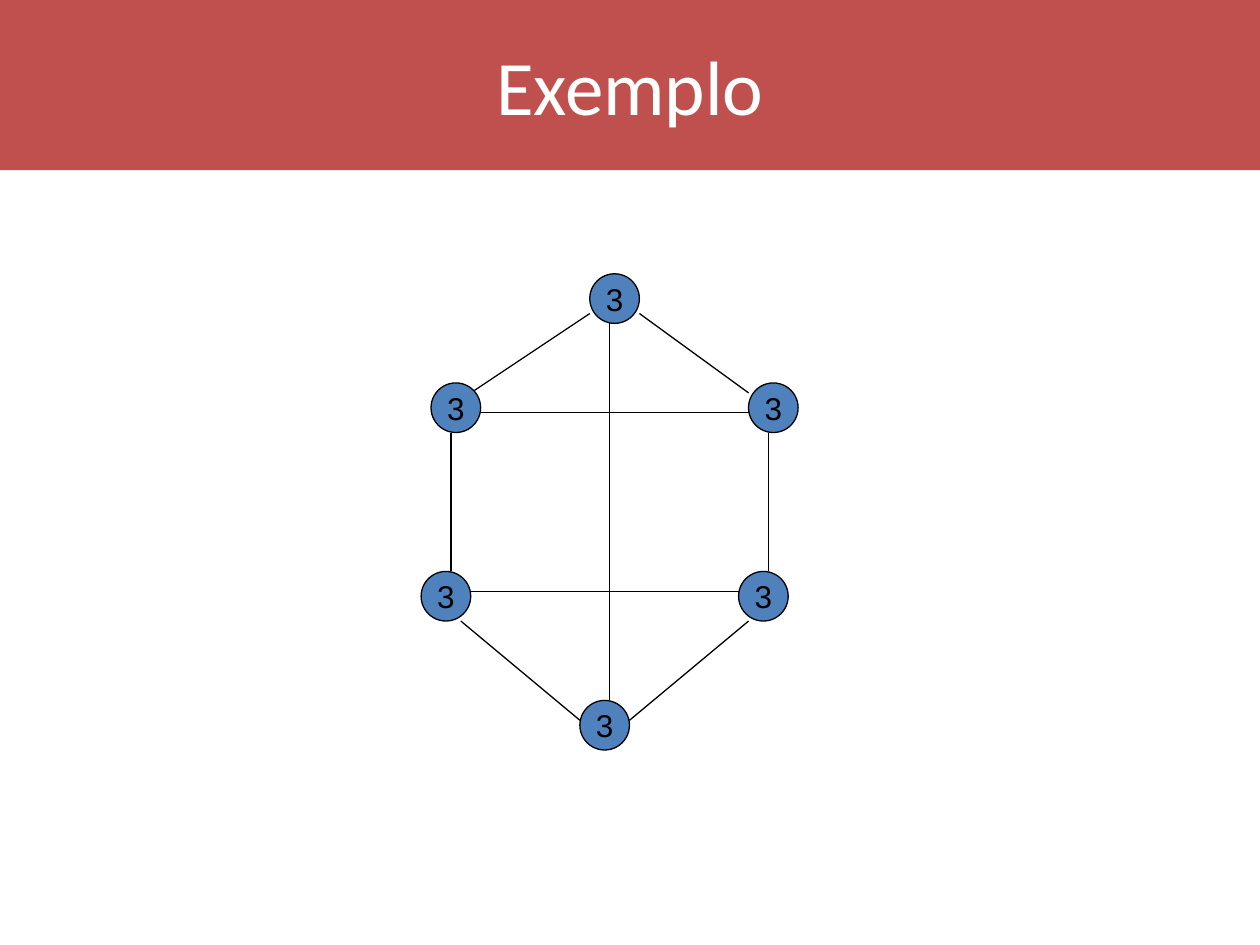
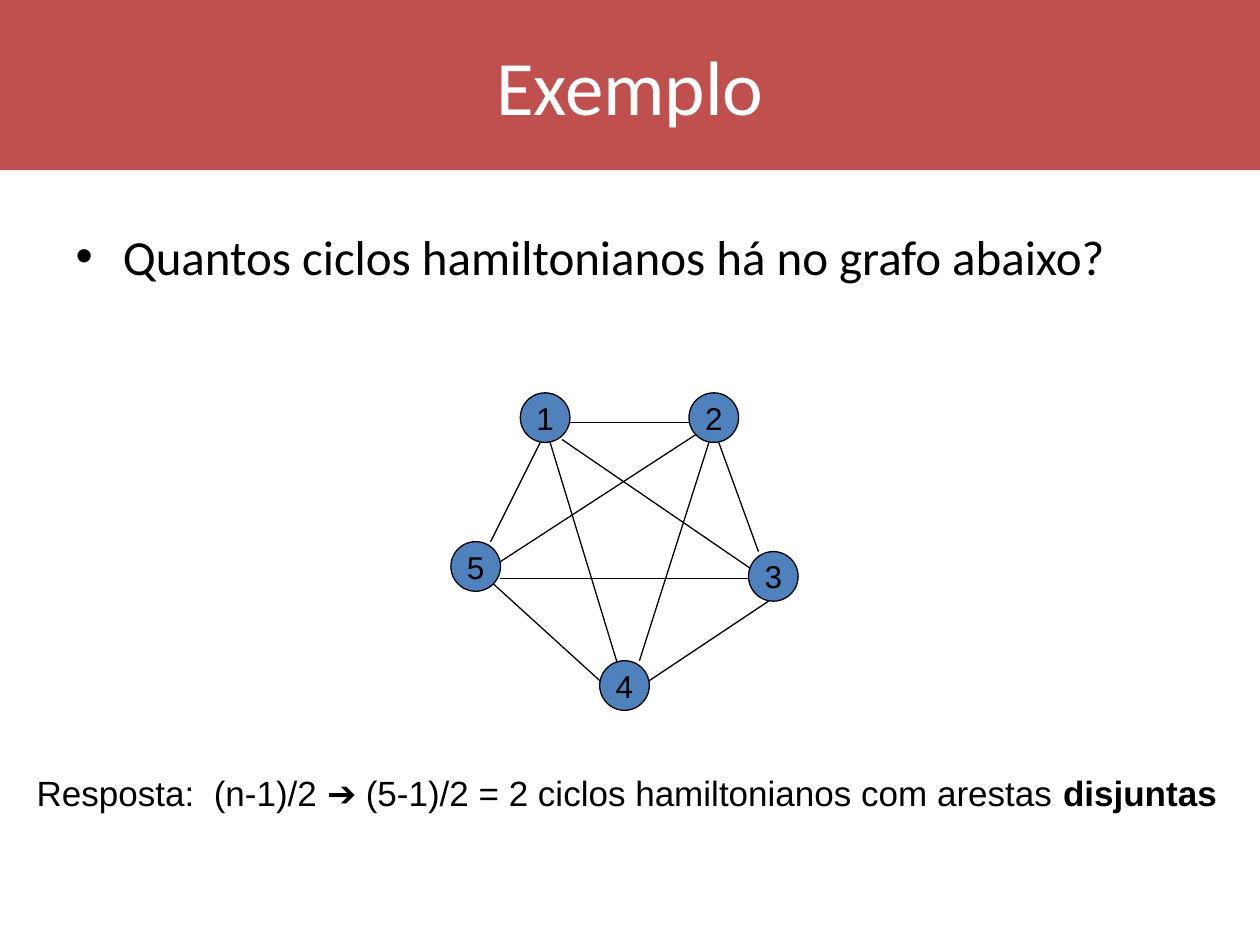
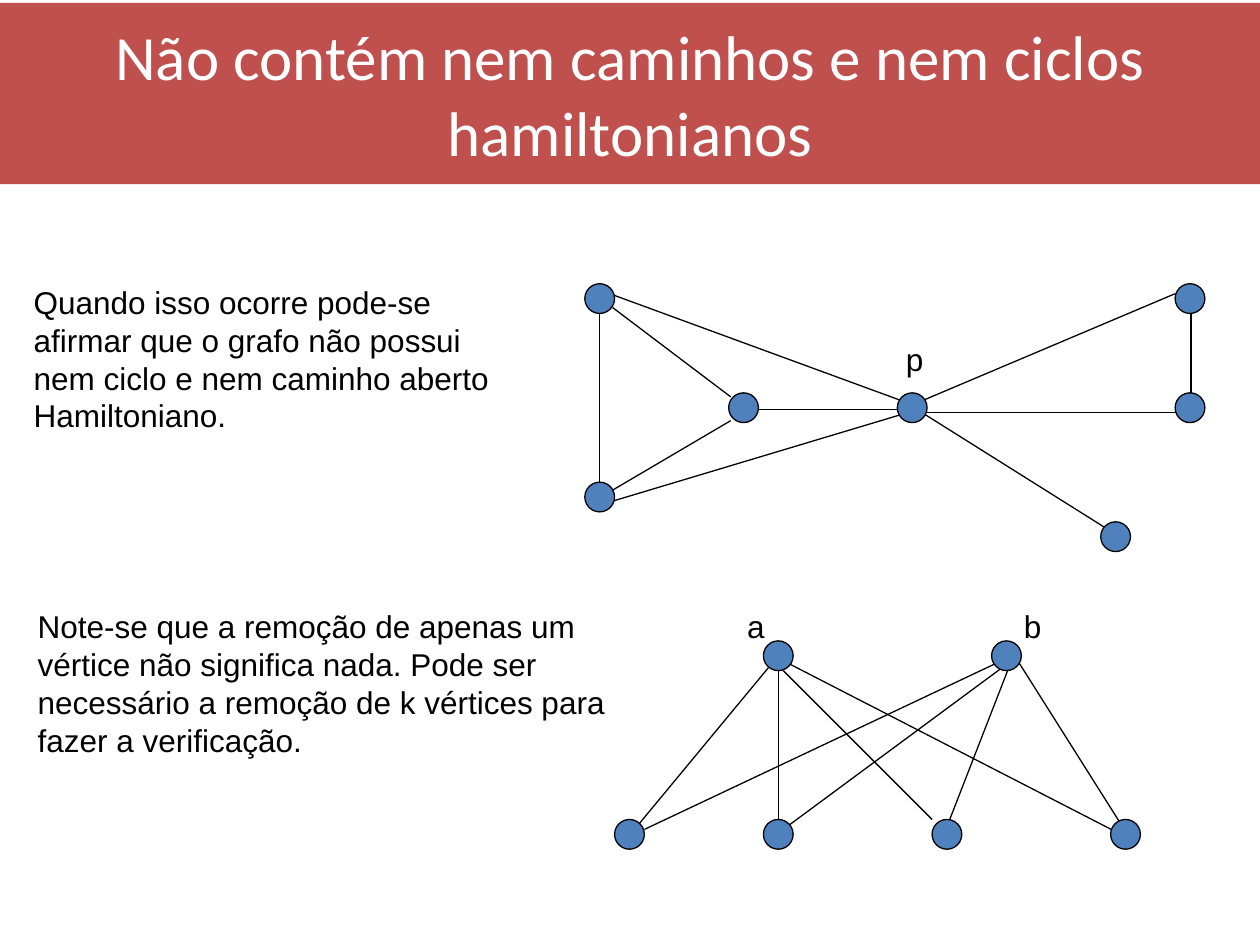
from pptx import Presentation
from pptx.dml.color import RGBColor
from pptx.enum.shapes import MSO_CONNECTOR, MSO_SHAPE
from pptx.enum.text import MSO_ANCHOR, MSO_AUTO_SIZE, PP_ALIGN
from pptx.oxml.ns import qn
from pptx.util import Cm, Inches, Pt
from lxml.etree import SubElement

COLORS = {"band": "C0504D", "title": "FFFFFF", "vertex": "4F81BD", "ink": "000000"}
WIDTH, HEIGHT = Inches(10), Inches(7.5)
CELL, LEFT, TOP = Cm(0.2), Cm(0.09), Cm(0.12)
TITLE_ONLY, TITLE_AND_BODY = 5, 1

DEGREE_VERTICES = [(59, 27, "3"), (43, 38, "3"), (75, 38, "3"),
                   (42, 57, "3"), (74, 57, "3"), (58, 70, "3")]
DEGREE_EDGES = [(46, 62, 58, 72), (63, 72, 75, 62), (77, 57, 77, 43),
                (45, 57, 45, 43), (47, 59, 74, 59), (47, 39, 59, 31),
                (64, 31, 75, 39), (48, 41, 75, 41), (61, 32, 61, 70)]

COMPLETE_VERTICES = [(52, 39, "1"), (69, 39, "2"), (75, 55, "3"),
                     (60, 66, "4"), (45, 54, "5")]
COMPLETE_EDGES = [(57, 42, 69, 42), (56.2, 43.7, 75.2, 56.7), (54, 44, 49, 54),
                  (55, 44, 62, 67), (72, 44, 76, 55), (77, 60, 65, 68),
                  (60, 68, 49, 58), (70, 43, 50, 56), (71, 44, 64, 66),
                  (74.9, 57.7, 49.9, 57.7)]

CUT_VERTICES = [(58.5, 28), (58.5, 48), (73, 39), (90, 39),
                (118, 28), (118, 39), (110.5, 52)]
CUT_EDGES = [(60, 31, 60, 49), (61.3, 30.4, 73.2, 39.4), (61.3, 48.8, 73.2, 41.8),
             (76, 40.7, 90, 40.7), (119.6, 31, 119.6, 40), (91, 41, 61, 50),
             (61, 29, 91, 40), (118, 29, 92, 40), (92.5, 41, 119.6, 41),
             (92.5, 41, 111.6, 53)]

BIPARTITE_VERTICES = ([(col, 64) for col in (76.5, 99.5)]
                      + [(col, 82) for col in (61.5, 76.5, 93.5, 111.5)])
BIPARTITE_EDGES = [(77, 66.7, 63.5, 83), (78, 67, 78, 82), (78.5, 67, 93.5, 82),
                   (78.5, 66, 113.5, 84), (100.5, 66, 64.5, 83),
                   (101.5, 66, 78.5, 83), (101.5, 66, 94.5, 84),
                   (101.5, 65, 113.5, 84)]


def color(name):
    """Look up a palette colour."""
    return RGBColor.from_string(COLORS[name])


def column(number):
    """Turn a grid column into a horizontal position."""
    return round(LEFT + number * CELL)


def row(number):
    """Turn a grid row into a vertical position."""
    return round(TOP + number * CELL)


def place(shape, left, top, width, height):
    """Place a shape by shares of the slide's size."""
    shape.left, shape.top = round(left * WIDTH), round(top * HEIGHT)
    shape.width, shape.height = round(width * WIDTH), round(height * HEIGHT)


def style(paragraph, size, ink="ink", face="Arial"):
    """Give every run of a paragraph its font."""
    for run in paragraph.runs:
        run.font.size, run.font.name = Pt(size), face
        run.font.color.rgb = color(ink)


def titled_slide(deck, heading, size=44, top=0, height=0.18, layout=TITLE_ONLY):
    """Add a slide whose title fills a band across the top."""
    slide = deck.slides.add_slide(deck.slide_layouts[layout])
    band = slide.shapes.title
    place(band, 0, top, 1, height)
    band.fill.solid()
    band.fill.fore_color.rgb = color("band")
    frame = band.text_frame
    frame.text = heading
    frame.auto_size = MSO_AUTO_SIZE.NONE
    frame.vertical_anchor = MSO_ANCHOR.MIDDLE
    frame.paragraphs[0].alignment = PP_ALIGN.CENTER
    style(frame.paragraphs[0], size, "title", "Calibri")
    return slide


def edge(slide, col1, row1, col2, row2):
    """Draw a thin line between two grid points."""
    link = slide.shapes.add_connector(MSO_CONNECTOR.STRAIGHT, column(col1), row(row1),
                                      column(col2), row(row2))
    link.line.color.rgb = color("ink")
    link.line.width = Pt(0.75)
    SubElement(link._element.spPr, qn("a:effectLst"))


def vertex(slide, span, col, top_row, label=""):
    """Draw a round vertex, span cells wide, with an optional label."""
    dot = slide.shapes.add_shape(MSO_SHAPE.OVAL, column(col), row(top_row),
                                 span * CELL, span * CELL)
    dot.shadow.inherit = False
    dot.fill.solid()
    dot.fill.fore_color.rgb = color("vertex")
    dot.line.color.rgb = color("ink")
    dot.line.width = Pt(0.75)
    if label:
        frame = dot.text_frame
        frame.text = label
        frame.word_wrap = False
        frame.vertical_anchor = MSO_ANCHOR.MIDDLE
        frame.paragraphs[0].alignment = PP_ALIGN.CENTER
        style(frame.paragraphs[0], 18)


def graph(slide, vertices, edges, span):
    """Draw the edges of a graph and its vertices over them."""
    for ends in edges:
        edge(slide, *ends)
    for spot in vertices:
        vertex(slide, span, *spot)


def note(slide, col, top_row, cols, rows, words, size=18, strong=""):
    """Add plain text on the grid, with an optional bold ending."""
    box = slide.shapes.add_textbox(column(col), row(top_row),
                                   round(cols * CELL), round(rows * CELL))
    frame = box.text_frame
    frame.text = words
    frame.word_wrap = False
    frame.auto_size = MSO_AUTO_SIZE.SHAPE_TO_FIT_TEXT
    if strong:
        ending = frame.paragraphs[-1].add_run()
        ending.text = strong
        ending.font.bold = True
    for paragraph in frame.paragraphs:
        style(paragraph, size)


def question(slide, words):
    """Fill the body with one bulleted question."""
    body = slide.placeholders[1]
    place(body, 0.05, 0.233, 0.93, 0.66)
    body.text_frame.text = words
    asked = body.text_frame.paragraphs[0]
    asked.space_before = Pt(7)
    style(asked, 28, face="Calibri")


def main():
    """Build the three slides on Hamiltonian graphs."""
    deck = Presentation()
    deck.slide_width, deck.slide_height = WIDTH, HEIGHT

    degrees = titled_slide(deck, "Exemplo")
    graph(degrees, DEGREE_VERTICES, DEGREE_EDGES, 5)

    cycles = titled_slide(deck, "Exemplo", layout=TITLE_AND_BODY)
    question(cycles, "Quantos ciclos hamiltonianos há no grafo abaixo?")
    graph(cycles, COMPLETE_VERTICES, COMPLETE_EDGES, 5)
    note(cycles, 2, 76.5, 122, 5.6,
         "Resposta:  (n-1)/2 ➔ (5-1)/2 = 2 ciclos hamiltonianos com arestas ",
         20, "disjuntas")

    removal = titled_slide(deck, "Não contém nem caminhos e nem ciclos hamiltonianos",
                           36, 0.003, 0.192)
    graph(removal, CUT_VERTICES, CUT_EDGES, 3)
    graph(removal, BIPARTITE_VERTICES, BIPARTITE_EDGES, 3)
    for col, top_row, name in ((89.6, 33, "p"), (73.6, 60, "a"), (101.5, 60, "b")):
        note(removal, col, top_row, 4.3, 5, name)
    note(removal, 1.7, 27.3, 48.4, 16.5,
         "Quando isso ocorre pode-se\nafirmar que o grafo não possui\n"
         "nem ciclo e nem caminho aberto\nHamiltoniano.")
    note(removal, 2.1, 60, 59.7, 16.5,
         "Note-se que a remoção de apenas um\nvértice não significa nada. Pode ser\n"
         "necessário a remoção de k vértices para\nfazer a verificação.")

    deck.save("out.pptx")


if __name__ == "__main__":
    main()
